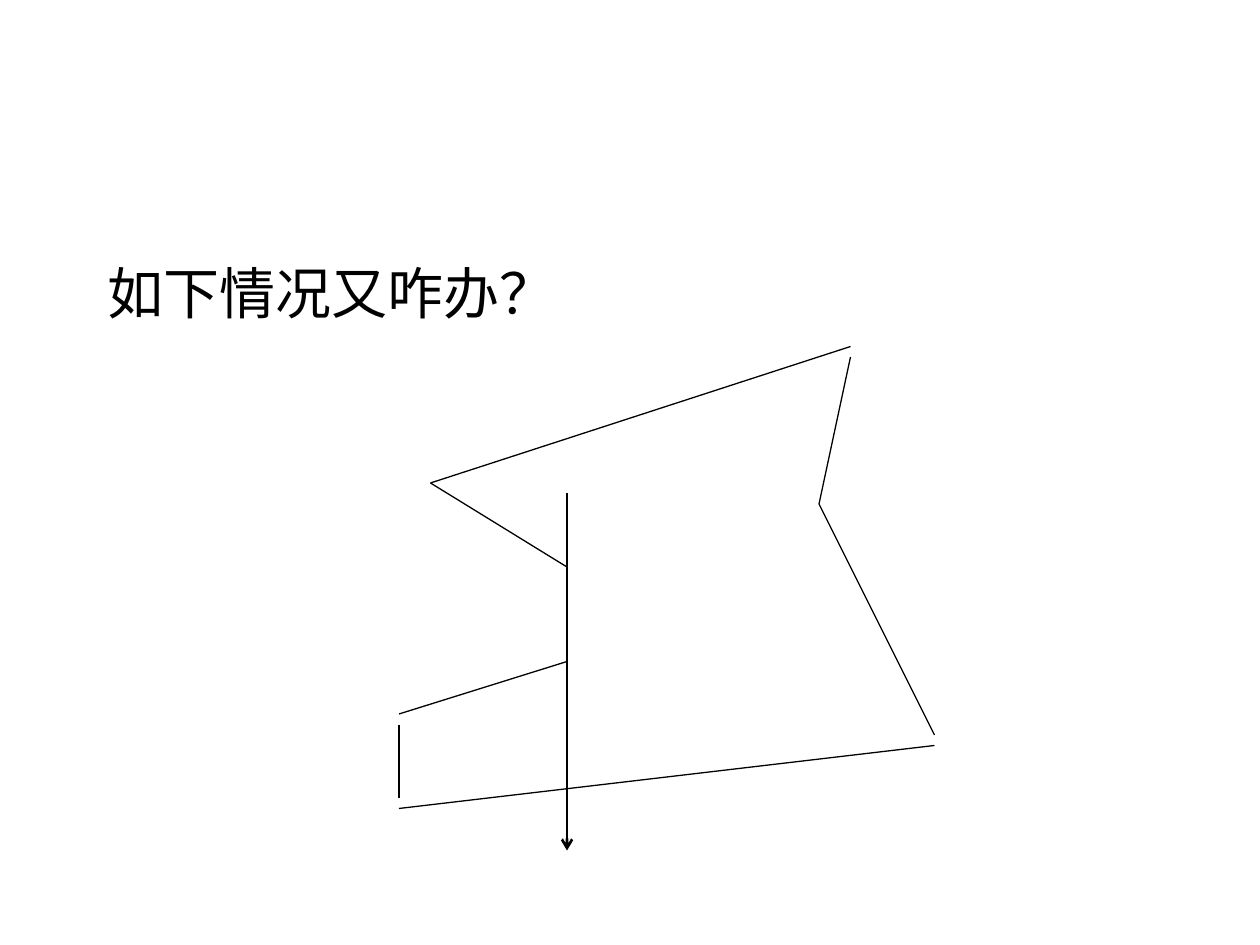
from pptx import Presentation
from pptx import util as u
from pptx.dml.color import RGBColor
from pptx.enum import shapes, text
from pptx.oxml.ns import qn
from lxml import etree

BLACK = RGBColor(0, 0, 0)
WIDE, HIGH = u.Inches(10), u.Inches(7.5)
COLS, ROWS = 120, 90
FONT = "Times New Roman"

EDGES = [
    ((41, 46), (54, 54)),
    ((54, 54), (54, 63)),
    ((41, 46), (81, 33)),
    ((54, 63), (38, 68)),
    ((38, 69), (38, 76)),
    ((38, 77), (89, 71)),
    ((89, 70), (78, 48)),
    ((78, 48), (81, 34)),
]
SCAN = ((54, 47), (54, 81))


def grid(col, row):
    return round(WIDE * col / COLS), round(HIGH * row / ROWS)


def write(box, words, size, font=FONT, color=BLACK, hang=0.38):
    frame = box.text_frame
    frame.word_wrap = True
    frame.auto_size = text.MSO_AUTO_SIZE.NONE
    frame.vertical_anchor = text.MSO_ANCHOR.TOP
    para = frame.paragraphs[0]
    para.text = words
    para.alignment = text.PP_ALIGN.LEFT
    para.space_before = u.Pt(0)
    props = para._p.get_or_add_pPr()
    props.set("marL", str(u.Inches(hang)))
    props.set("indent", str(-u.Inches(hang)))
    etree.SubElement(props, qn("a:buNone"))
    face = para.runs[0].font
    face.name, face.size, face.color.rgb = font, u.Pt(size), color


def draw(slide, start, end, width=0.75, arrow=False):
    link = slide.shapes.add_connector(
        shapes.MSO_CONNECTOR.STRAIGHT, *grid(*start), *grid(*end))
    link.line.color.rgb = BLACK
    link.line.width = u.Pt(width)
    if arrow:
        etree.SubElement(link.line._get_or_add_ln(), qn("a:tailEnd"), type="arrow")
    etree.SubElement(link._element.spPr, qn("a:effectLst"))


def main():
    deck = Presentation()
    deck.slide_width, deck.slide_height = WIDE, HIGH
    slide = deck.slides.add_slide(deck.slide_layouts[1])
    title = slide.shapes.title._element
    title.getparent().remove(title)
    body = slide.placeholders[1]
    body.left, body.top = grid(9, 24)
    body.width, body.height = grid(102, 56)
    write(body, "如下情况又咋办？", 32)
    for start, end in EDGES:
        draw(slide, start, end)
    draw(slide, *SCAN, width=1.5, arrow=True)
    deck.save("out.pptx")


if __name__ == "__main__":
    main()
